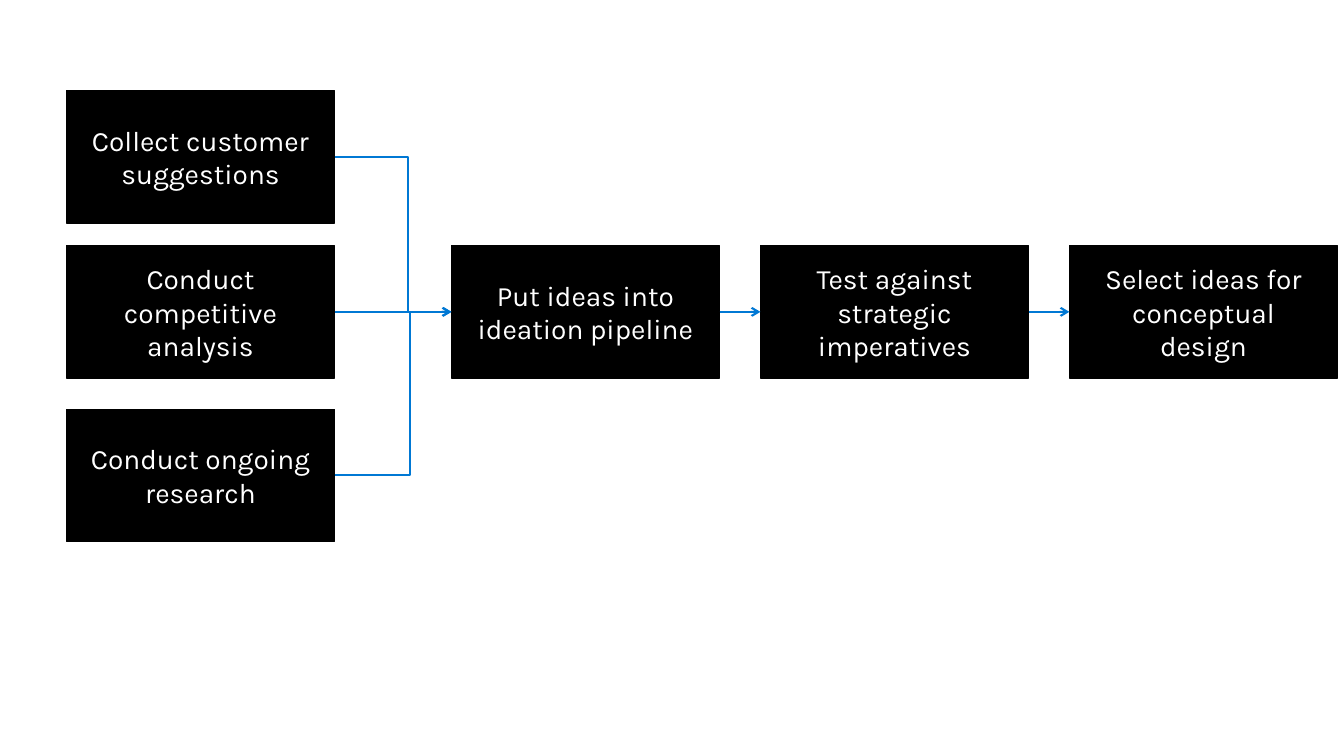
from pptx import Presentation
from pptx.dml.color import RGBColor
from pptx.enum.shapes import MSO_CONNECTOR as LINK, MSO_SHAPE as SHAPE
from pptx.enum.text import MSO_ANCHOR as ANCHOR, PP_ALIGN as ALIGN
from pptx.oxml.ns import qn
from pptx.util import Pt
from lxml.etree import SubElement

BLACK, WHITE, BLUE = "000000", "FFFFFF", "0078D4"
STEP_WIDTH, STEP_HEIGHT = 191.5, 94.5
SOURCE_LEFT, PIPELINE_LEFT, PIPELINE_PITCH = 47.5, 322.5, 220.7
MIDDLE_TOP = 175.5
LEFT_SITE, RIGHT_SITE = 1, 3


def colour(hex_code):
    return RGBColor.from_string(hex_code)


def add_step(slide, wording, left, top):
    step = slide.shapes.add_shape(
        SHAPE.RECTANGLE, Pt(left), Pt(top), Pt(STEP_WIDTH), Pt(STEP_HEIGHT))
    step.shadow.inherit = False
    step.fill.solid()
    step.fill.fore_color.rgb = colour(BLACK)
    step.line.color.rgb = colour(BLACK)
    step.line.width = Pt(0.85)
    frame = step.text_frame
    frame.word_wrap = True
    frame.vertical_anchor = ANCHOR.MIDDLE
    frame.margin_left = frame.margin_right = Pt(14.4)
    frame.margin_top = frame.margin_bottom = Pt(11.5)
    frame.text = wording
    label = frame.paragraphs[0]
    label.alignment = ALIGN.CENTER
    label.font.name = "Karla"
    label.font.size = Pt(20)
    label.font.color.rgb = colour(WHITE)
    return step


def add_link(slide, kind, start, end, arrow=True):
    link = slide.shapes.add_connector(kind, *start, *end)
    link.line.color.rgb = colour(BLUE)
    link.line.width = Pt(1.5)
    properties = link._element.spPr
    if arrow:
        SubElement(properties.find(qn("a:ln")), qn("a:tailEnd"), type="arrow")
    SubElement(properties, qn("a:effectLst"))
    return link


def right_middle(step):
    return step.left + step.width, step.top + step.height // 2


def left_middle(step):
    return step.left, step.top + step.height // 2


def join_steps(slide, first, second, kind=LINK.STRAIGHT):
    link = add_link(slide, kind, right_middle(first), left_middle(second))
    link.begin_connect(first, RIGHT_SITE)
    link.end_connect(second, LEFT_SITE)
    return link


def add_bend(slide, step, end):
    bend = add_link(slide, LINK.ELBOW, right_middle(step), end, arrow=False)
    bend._element.spPr.find(qn("a:prstGeom")).set("prst", "bentConnector2")


def set_bend_place(link, share):
    guides = link._element.spPr.find(qn("a:prstGeom")).get_or_add_avLst()
    SubElement(guides, qn("a:gd"), name="adj1", fmla=f"val {round(share * 100000)}")


def main():
    deck = Presentation()
    deck.slide_width, deck.slide_height = Pt(960), Pt(540)
    slide = deck.slides.add_slide(deck.slide_layouts[6])

    suggestions, analysis, research = [
        add_step(slide, wording, SOURCE_LEFT, top)
        for wording, top in (
            ("Collect customer suggestions", 64.8),
            ("Conduct competitive analysis", MIDDLE_TOP),
            ("Conduct ongoing research", 292.3),
        )
    ]
    pipeline = [
        add_step(slide, wording, PIPELINE_LEFT + place * PIPELINE_PITCH, MIDDLE_TOP)
        for place, wording in enumerate((
            "Put ideas into ideation pipeline",
            "Test against strategic imperatives",
            "Select ideas for conceptual design",
        ))
    ]

    main_row = [analysis, *pipeline]
    for first, second in zip(main_row, main_row[1:]):
        join_steps(slide, first, second)
    set_bend_place(join_steps(slide, suggestions, pipeline[0], LINK.ELBOW), 0.63)
    add_bend(slide, research, (Pt(293), left_middle(pipeline[0])[1]))

    deck.save("out.pptx")


if __name__ == "__main__":
    main()
